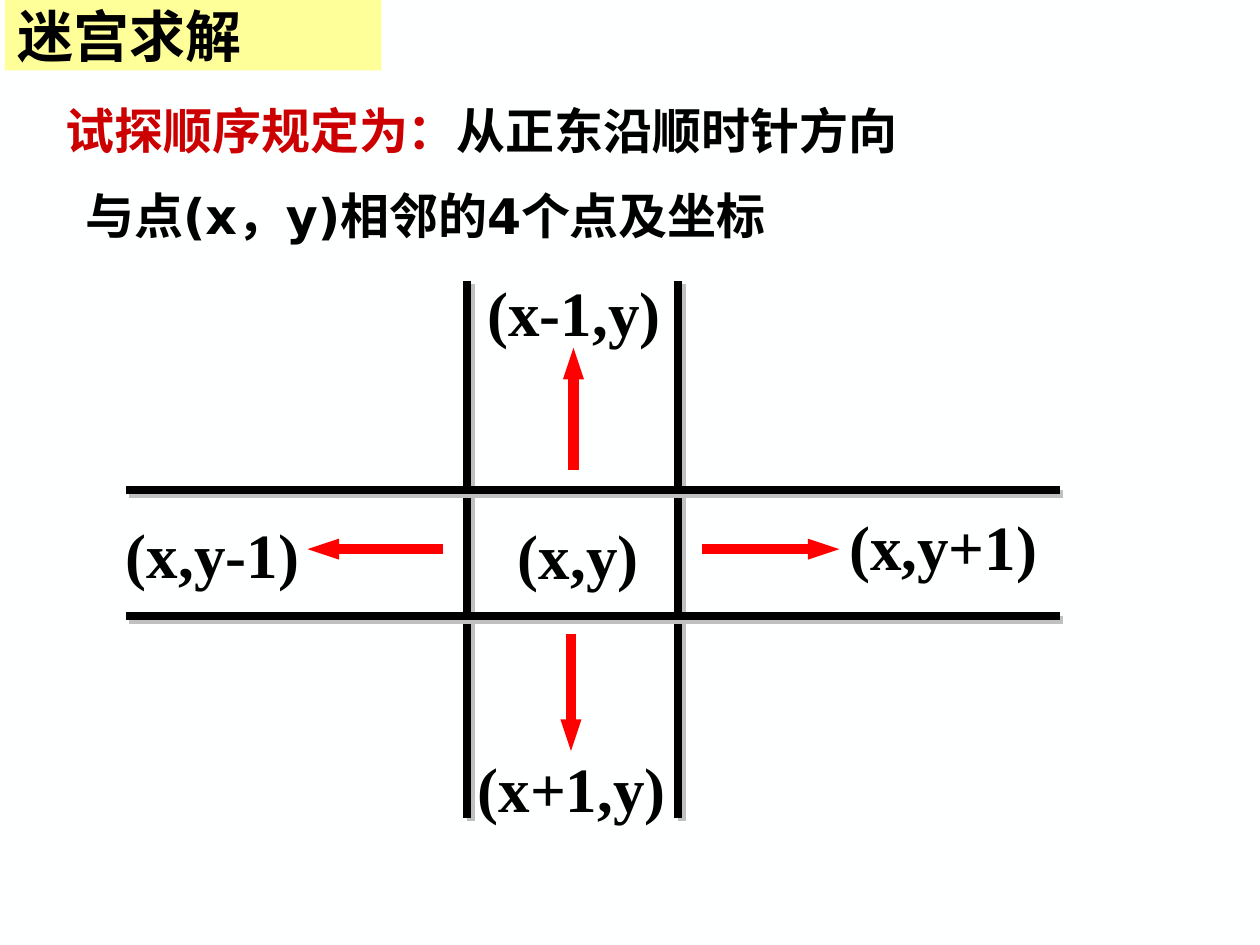
from lxml import etree
from pptx import Presentation
from pptx.dml.color import RGBColor
from pptx.enum.shapes import MSO_CONNECTOR, MSO_SHAPE
from pptx.enum.text import MSO_ANCHOR, PP_ALIGN
from pptx.oxml import parse_xml
from pptx.oxml.ns import qn
from pptx.util import Cm, Pt

BLACK = RGBColor(0x00, 0x00, 0x00)
RED = RGBColor(0xFF, 0x00, 0x00)
DARK_RED = RGBColor(0xCC, 0x00, 0x00)
YELLOW = RGBColor(0xFF, 0xFF, 0x99)
PAPER = RGBColor(0xFE, 0xFF, 0xFF)
CJK = "Noto Sans CJK SC"
SHADOW = (
    '<a:effectLst xmlns:a="http://schemas.openxmlformats.org/drawingml/2006/main">'
    '<a:outerShdw dist="35921" dir="2700000" algn="ctr" rotWithShape="0">'
    '<a:srgbClr val="C0C0C0"/></a:outerShdw></a:effectLst>'
)


def style(r, size, name, color):
    r.font.size = Pt(size)
    r.font.bold = True
    r.font.name = name
    r.font.color.rgb = color
    latin = r.font._element.find(qn("a:latin"))
    ea = etree.Element(qn("a:ea"), typeface=CJK)
    latin.addnext(ea)


def add_line(x1, y1, x2, y2, color, width):
    c = s.shapes.add_connector(MSO_CONNECTOR.STRAIGHT, Cm(x1), Cm(y1), Cm(x2), Cm(y2))
    c.line.color.rgb = color
    c.line.width = Pt(width)
    return c


prs = Presentation()
prs.slide_width, prs.slide_height = Cm(25.4), Cm(19.05)
s = prs.slides.add_slide(prs.slide_layouts[6])
s.background.fill.solid()
s.background.fill.fore_color.rgb = PAPER

tf = s.shapes.add_textbox(Cm(1.07), Cm(1.9), Cm(22.66), Cm(1.45)).text_frame
tf.word_wrap = True
p = tf.paragraphs[0]
for text, color in [("试探顺序规定为：", DARK_RED), ("从正东沿顺时针方向", BLACK)]:
    r = p.add_run()
    r.text = text
    style(r, 28, "DejaVu Sans", color)
    r.font._element.find(qn("a:solidFill")).addnext(parse_xml(SHADOW))

tf = s.shapes.add_textbox(Cm(1.47), Cm(3.61), Cm(14.45), Cm(1.45)).text_frame
tf.word_wrap = True
tf.text = "与点(x，y)相邻的4个点及坐标"
style(tf.paragraphs[0].runs[0], 28, "DejaVu Sans", BLACK)

labels = [
    ("(x,y)", 10.44, 10.41, 3.05, 1.22, PP_ALIGN.JUSTIFY),
    ("(x,y+1)", 17.12, 10.24, 4.78, 1.85, PP_ALIGN.JUSTIFY),
    ("(x,y-1)", 2.54, 10.39, 3.84, 1.88, PP_ALIGN.JUSTIFY),
    ("(x+1,y)", 9.63, 15.11, 4.57, 1.52, PP_ALIGN.LEFT),
    ("(x-1,y)", 9.83, 5.51, 3.66, 1.4, PP_ALIGN.JUSTIFY),
]
for text, x, y, w, h, align in labels:
    tf = s.shapes.add_textbox(Cm(x), Cm(y), Cm(w), Cm(h)).text_frame
    tf.word_wrap = True
    tf.margin_left = tf.margin_right = tf.margin_top = tf.margin_bottom = 0
    tf.text = text
    p = tf.paragraphs[0]
    p.alignment = align
    style(p.runs[0], 36, "Times New Roman", BLACK)

arrows = [
    (14.15, 11.07, 16.92, 11.07),
    (11.56, 9.47, 11.56, 7.01),
    (8.94, 11.07, 6.2, 11.07),
    (11.51, 12.78, 11.51, 15.14),
]
for ends in arrows:
    c = add_line(*ends, RED, 6)
    etree.SubElement(c.line._get_or_add_ln(), qn("a:tailEnd"), type="triangle", w="sm", len="med")
    etree.SubElement(c._element.spPr, qn("a:effectLst"))

walls = [(x, 5.66, x, 16.48) for x in (9.42, 13.67)]
walls += [(2.54, y, 21.36, y) for y in (9.88, 12.42)]
for ends in walls:
    c = add_line(*ends, BLACK, 4.5)
    c._element.spPr.append(parse_xml(SHADOW))

sp = s.shapes.add_shape(MSO_SHAPE.RECTANGLE, Cm(0.1), Cm(0), Cm(7.59), Cm(1.42))
sp.shadow.inherit = False
sp.fill.solid()
sp.fill.fore_color.rgb = YELLOW
sp.line.fill.background()
tf = sp.text_frame
tf.vertical_anchor = MSO_ANCHOR.MIDDLE
tf.text = "迷宫求解"
p = tf.paragraphs[0]
p.alignment = PP_ALIGN.LEFT
style(p.runs[0], 32, CJK, BLACK)

prs.save("out.pptx")
